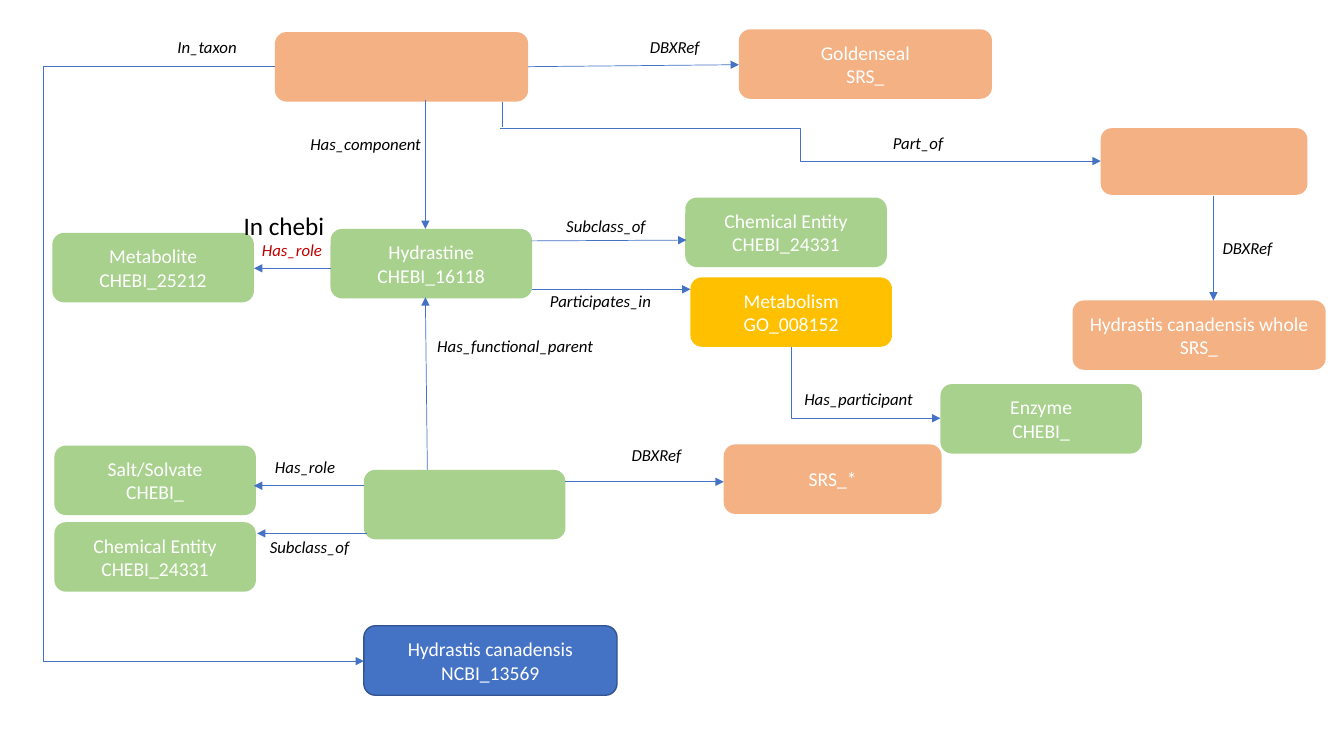
"""Build a slide mapping Hydrastis canadensis and hydrastine to their ontology terms."""
from pptx import Presentation
from pptx import util as u
from pptx.dml.color import RGBColor
from pptx.enum import shapes, text
from pptx.oxml.ns import qn
from lxml import etree

THEME = {
    "substance": "F4B183", "chemical": "A9D18E", "process": "FFC000", "taxon": "4472C4",
    "taxon_border": "325491", "link": "4472C4", "box_text": "FFFFFF",
    "label": "000000", "highlight": "C00000",
    "font": "Calibri", "box_size": 14, "label_size": 12, "note_size": 18,
}
WIDE, NARROW, TALL = 6.38, 5.08, 1.75


def style_text(text_frame, color, size, italic=False, align=None):
    for paragraph in text_frame.paragraphs:
        paragraph.alignment = align
        for run in paragraph.runs:
            run.font.name = THEME["font"]
            run.font.size = u.Pt(size)
            run.font.italic = italic
            run.font.color.rgb = RGBColor.from_string(THEME[color])


def add_link(start, end, arrow=None, preset="line"):
    elbow = preset != "line"
    kind = shapes.MSO_CONNECTOR.ELBOW if elbow else shapes.MSO_CONNECTOR.STRAIGHT
    connector = slide.shapes.add_connector(kind, *map(u.Cm, start + end))
    connector.line.color.rgb = RGBColor.from_string(THEME["link"])
    connector.line.width = u.Pt(0.5)
    properties = connector._element.spPr
    if elbow:
        properties.find(qn("a:prstGeom")).set("prst", preset)
    if arrow:
        etree.SubElement(properties.find(qn("a:ln")), qn(f"a:{arrow}"), type="triangle")
    etree.SubElement(properties, qn("a:effectLst"))


presentation = Presentation()
presentation.slide_width, presentation.slide_height = u.Cm(33.87), u.Cm(19.05)
slide = presentation.slides.add_slide(presentation.slide_layouts[6])

boxes = [
    ("substance", 6.93, 0.81, WIDE, TALL, ""),
    ("taxon", 9.17, 15.77, WIDE, TALL, "Hydrastis canadensis\nNCBI_13569"),
    ("chemical", 8.33, 5.77, NARROW, TALL, "Hydrastine\nCHEBI_16118"),
    ("substance", 27.03, 7.57, WIDE, TALL, "Hydrastis canadensis whole\nSRS_"),
    ("substance", 18.24, 11.2, 5.49, TALL, "SRS_*"),
    ("chemical", 17.27, 4.98, NARROW, TALL, "Chemical Entity\nCHEBI_24331"),
    ("chemical", 9.17, 11.84, NARROW, TALL, ""),
    ("substance", 18.62, 0.74, WIDE, TALL, "Goldenseal\nSRS_"),
    ("substance", 27.74, 3.23, 5.21, 1.68, ""),
    ("chemical", 1.37, 11.23, NARROW, TALL, "Salt/Solvate\nCHEBI_"),
    ("chemical", 1.37, 13.16, NARROW, TALL, "Chemical Entity\nCHEBI_24331"),
    ("process", 17.4, 6.99, NARROW, TALL, "Metabolism\nGO_008152"),
    ("chemical", 23.7, 9.68, NARROW, TALL, "Enzyme\nCHEBI_"),
    ("chemical", 1.32, 5.87, NARROW, TALL, "Metabolite\nCHEBI_25212"),
]
for category, left, top, width, height, wording in boxes:
    box = slide.shapes.add_shape(
        shapes.MSO_SHAPE.ROUNDED_RECTANGLE, *map(u.Cm, (left, top, width, height)))
    box.shadow.inherit = False
    box.fill.solid()
    box.fill.fore_color.rgb = RGBColor.from_string(THEME[category])
    if category == "taxon":
        box.line.color.rgb = RGBColor.from_string(THEME["taxon_border"])
        box.line.width = u.Pt(1)
    else:
        box.line.fill.background()
    if wording:
        box.text_frame.text = wording
        box.text_frame.vertical_anchor = text.MSO_ANCHOR.MIDDLE
        style_text(box.text_frame, "box_text", THEME["box_size"], align=text.PP_ALIGN.CENTER)

plain_lines = [
    ((6.93, 1.68), (1.09, 1.68)),
    ((1.09, 1.68), (1.09, 16.66)),
    ((12.67, 2.57), (12.67, 3.2)),
]
arrows = [
    ((10.72, 2.51), (10.72, 5.77)),
    ((1.09, 16.66), (9.17, 16.66)),
    ((14.25, 12.14), (18.24, 12.14)),
    ((13.39, 6.07), (17.3, 6.05)),
    ((13.31, 1.68), (18.62, 1.63)),
    ((30.58, 4.93), (30.58, 7.57)),
    ((9.17, 12.24), (6.4, 12.24)),
    ((9.25, 13.44), (6.48, 13.44)),
    ((10.77, 11.84), (10.72, 7.49)),
    ((13.41, 7.29), (17.4, 7.29)),
    ((8.33, 6.76), (6.4, 6.76)),
]
for start, end in plain_lines:
    add_link(start, end)
for start, end in arrows:
    add_link(start, end, "tailEnd")
add_link((12.6, 3.23), (27.74, 4.06), "tailEnd", "bentConnector3")
add_link((23.7, 10.54), (19.94, 8.74), "headEnd", "bentConnector2")

labels = [
    ("Has_component", 7.57, 3.25, 3.35, "label"),
    ("In_taxon", 4.22, 0.79, 2.03, "label"),
    ("Has_functional_parent", 10.77, 8.33, 4.47, "label"),
    ("Subclass_of", 14.02, 5.31, 2.51, "label"),
    ("DBXRef", 15.67, 11.07, 1.78, "label"),
    ("DBXRef", 16.13, 0.81, 1.78, "label"),
    ("DBXRef", 30.56, 5.87, 1.78, "label"),
    ("Part_of", 22.25, 3.23, 1.8, "label"),
    ("Has_role", 6.68, 11.38, 2.06, "label"),
    ("Subclass_of", 6.55, 13.39, 2.51, "label"),
    ("Participates_in", 13.61, 7.21, 3.07, "label"),
    ("Has_participant", 20.02, 9.68, 3.28, "label"),
    ("Has_role", 6.35, 5.92, 2.06, "highlight"),
    ("In chebi", 5.89, 5.18, 2.57, "note"),
]
for wording, left, top, width, role in labels:
    is_note = role == "note"
    height = 1.03 if is_note else 0.77
    label = slide.shapes.add_textbox(*map(u.Cm, (left, top, width, height)))
    label.text_frame.text = wording
    label.text_frame.word_wrap = False
    label.text_frame.auto_size = text.MSO_AUTO_SIZE.SHAPE_TO_FIT_TEXT
    size = THEME["note_size" if is_note else "label_size"]
    style_text(label.text_frame, "label" if is_note else role, size, italic=not is_note)

presentation.save("out.pptx")
